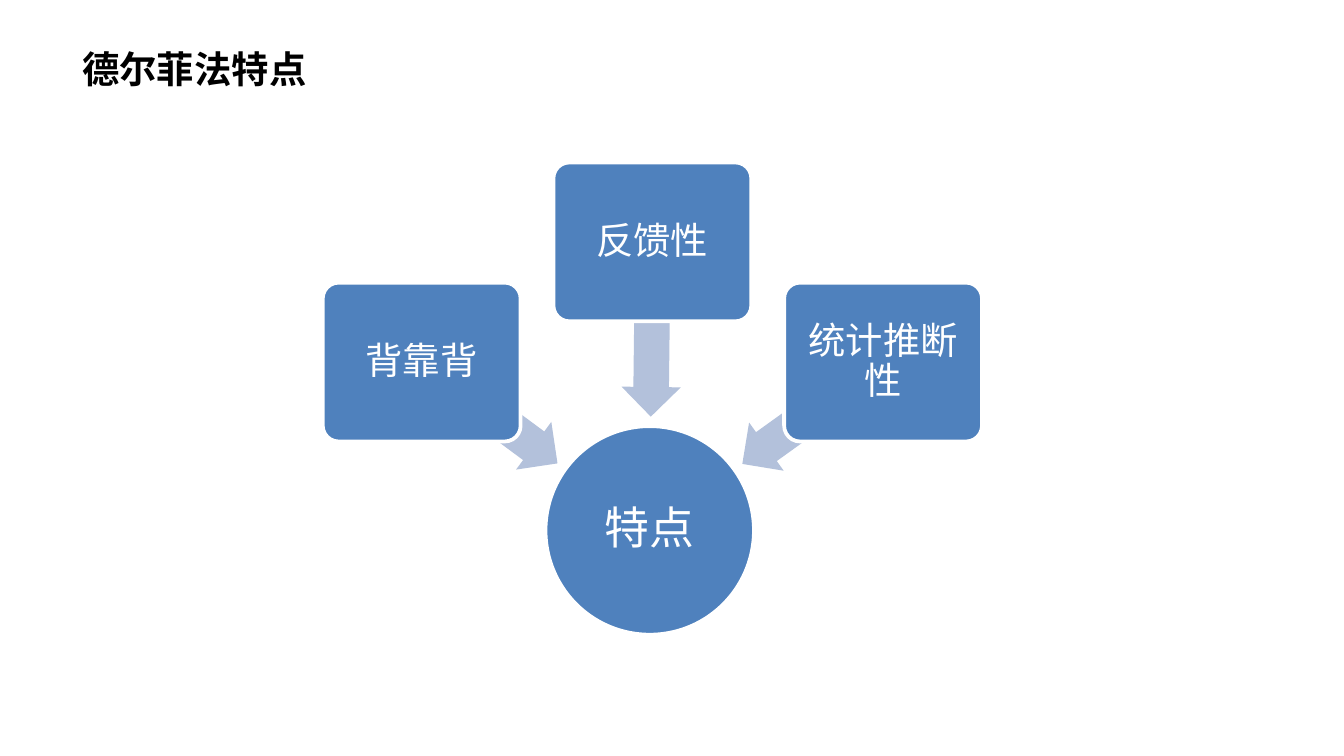
from typing import NamedTuple

from pptx import Presentation
from pptx.dml.color import RGBColor
from pptx.enum.shapes import MSO_SHAPE
from pptx.enum.text import MSO_ANCHOR, MSO_AUTO_SIZE, PP_ALIGN
from pptx.util import Cm, Pt

COLORS = {"node": "4F81BD", "arrow": "B3C1DB", "light": "FFFFFF", "title": "000000"}
BOX_W, BOX_H, BOX_LEFT, BOX_PITCH = 3.74, 3.0, 6.1, 4.36
ARROW_H = 1.12
MARGINS = ("margin_left", "margin_top", "margin_right", "margin_bottom")


class Feature(NamedTuple):
    text: str
    top: float
    arrow_left: float
    arrow_top: float
    arrow_width: float
    angle: float


FEATURES = [
    Feature("背靠背", 5.34, 7.65, 7.24, 3.2, 216.5),
    Feature("反馈性", 3.07, 10.67, 5.66, 3.3, 270.7),
    Feature("统计推断性", 5.34, 13.72, 7.24, 3.3, 324.3),
]


def color(name: str) -> RGBColor:
    return RGBColor.from_string(COLORS[name])


def apply(obj, values: dict) -> None:
    for name, value in values.items():
        setattr(obj, name, value)


def write(tf, text: str, size: int, ink: str, align, bold: bool = False):
    p = tf.paragraphs[0]
    p.alignment = align
    r = p.add_run()
    r.text = text
    apply(r.font, {"name": "Calibri", "size": Pt(size), "bold": bold})
    r.font.color.rgb = color(ink)
    return p


def add_filled(s, kind, box: tuple, fill: str):
    sp = s.shapes.add_shape(kind, *map(Cm, box))
    sp.shadow.inherit = False
    sp.fill.solid()
    sp.fill.fore_color.rgb = color(fill)
    sp.line.fill.background()
    return sp


def add_node(s, kind, box: tuple, text: str, size: int, margin: float):
    sp = add_filled(s, kind, box, "node")
    sp.line.color.rgb = color("light")
    sp.line.width = Pt(2)
    tf = sp.text_frame
    apply(tf, {"word_wrap": True, "vertical_anchor": MSO_ANCHOR.MIDDLE})
    apply(tf, dict.fromkeys(MARGINS, Cm(margin)))
    write(tf, text, size, "light", PP_ALIGN.CENTER).line_spacing = 0.9
    return sp


def add_feature(s, column: int, item: Feature) -> None:
    arrow_box = (item.arrow_left, item.arrow_top, item.arrow_width, ARROW_H)
    arrow = add_filled(s, MSO_SHAPE.LEFT_ARROW, arrow_box, "arrow")
    arrow.rotation = item.angle
    arrow.adjustments[0] = 0.6
    arrow.adjustments[1] = 0.5
    box = (BOX_LEFT + column * BOX_PITCH, item.top, BOX_W, BOX_H)
    sp = add_node(s, MSO_SHAPE.ROUNDED_RECTANGLE, box, item.text, 20, 0.1)
    sp.adjustments[0] = 0.1


def add_title(s, text: str) -> None:
    title = s.shapes.title
    apply(title, {"left": Cm(1.3), "top": Cm(0.74), "width": Cm(4.83), "height": Cm(1.12)})
    tf = title.text_frame
    apply(tf, {
        "word_wrap": False,
        "auto_size": MSO_AUTO_SIZE.SHAPE_TO_FIT_TEXT,
        "vertical_anchor": MSO_ANCHOR.TOP,
    })
    write(tf, text, 20, "title", PP_ALIGN.LEFT, bold=True)


def main() -> None:
    prs = Presentation()
    apply(prs, {"slide_width": Cm(25.4), "slide_height": Cm(14.28)})
    s = prs.slides.add_slide(prs.slide_layouts[5])
    add_title(s, "德尔菲法特点")
    add_node(s, MSO_SHAPE.OVAL, (10.31, 8.05, 3.94, 3.94), "特点", 24, 0.05)
    for column, item in enumerate(FEATURES):
        add_feature(s, column, item)
    prs.save("out.pptx")


if __name__ == "__main__":
    main()
